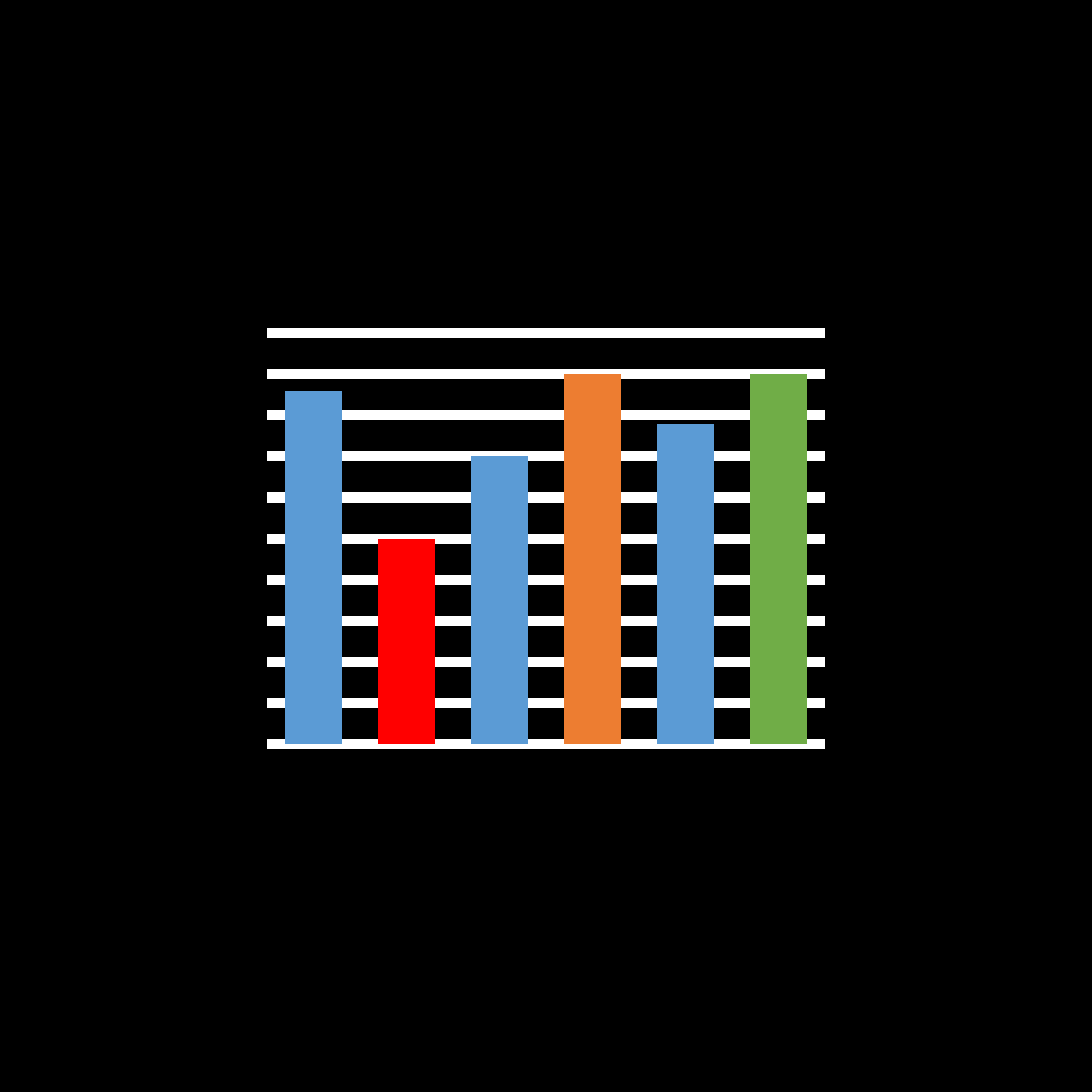
import pptx
import pptx.chart.data
import pptx.dml.color
import pptx.enum.chart
import pptx.oxml
import pptx.oxml.ns
import pptx.util
from dataclasses import dataclass

Pt = pptx.util.Pt


@dataclass(frozen=True)
class Theme:
    background: str = "000000"
    grid: str = "FFFFFF"
    text: str = "FFFFFF"
    bar: str = "5B9BD5"
    lowest: str = "FF0000"
    peak: str = "ED7D31"
    final: str = "70AD47"
    second: str = "ED7D31"
    third: str = "A5A5A5"
    font: str = "Calibri"
    text_size: float = 10
    grid_width: float = 5


theme = Theme()

# Content: category, value, bar colour
bars = [
    ("1", 8.6, theme.bar),
    ("2", 5, theme.lowest),
    ("3", 7, theme.bar),
    ("4", 9, theme.peak),
    ("5", 7.8, theme.bar),
    ("6", 9, theme.final),
]

# Content: series name, values, colour
series_rows = [
    ("Series 1", [value for _, value, _ in bars], theme.bar),
    ("Series 2", [None] * len(bars), theme.second),
    ("Series 3", [None] * len(bars), theme.third),
]

# Geometry, in points
SLIDE_SIDE = 540
CHART_BOX = (126.36, 160.56, 287.28, 211.68)
PLOT_MARGIN = 0.02  # share of the chart box left free on each side

# Value scale
SCALE_TOP = 10
GRID_UNIT = 1


def paint(fill, colour):
    fill.solid()
    fill.fore_color.rgb = pptx.dml.color.RGBColor.from_string(colour)


def place_plot(chart, margin):
    """Give the plot area an equal margin on all sides of the chart box."""
    plot_area = chart.element.find(".//" + pptx.oxml.ns.qn("c:plotArea"))
    for automatic in plot_area.findall(pptx.oxml.ns.qn("c:layout")):
        plot_area.remove(automatic)
    extent = 1 - 2 * margin
    plot_area.insert(0, pptx.oxml.parse_xml(
        f'<c:layout {pptx.oxml.ns.nsdecls("c")}><c:manualLayout>'
        '<c:layoutTarget val="inner"/><c:xMode val="edge"/><c:yMode val="edge"/>'
        f'<c:x val="{margin}"/><c:y val="{margin}"/>'
        f'<c:w val="{extent}"/><c:h val="{extent}"/>'
        '</c:manualLayout></c:layout>'))


def add_bar_chart(slide):
    scores = pptx.chart.data.CategoryChartData()
    scores.categories = [category for category, _, _ in bars]
    for name, values, _ in series_rows:
        scores.add_series(name, values)
    chart = slide.shapes.add_chart(
        pptx.enum.chart.XL_CHART_TYPE.COLUMN_CLUSTERED,
        *map(Pt, CHART_BOX), scores).chart
    chart.has_title = False
    chart.has_legend = False
    chart.font.name = theme.font
    chart.font.size = Pt(theme.text_size)
    chart.font.color.rgb = pptx.dml.color.RGBColor.from_string(theme.text)
    place_plot(chart, PLOT_MARGIN)

    # Hidden axes, heavy grid lines
    chart.category_axis.visible = False
    scale = chart.value_axis
    scale.visible = False
    scale.minimum_scale = 0
    scale.maximum_scale = SCALE_TOP
    scale.major_unit = GRID_UNIT
    scale.has_major_gridlines = True
    grid = scale.major_gridlines.format.line
    paint(grid.fill, theme.grid)
    grid.width = Pt(theme.grid_width)

    # Bars
    plot = chart.plots[0]
    plot.gap_width = 64
    plot.overlap = 100
    plot.vary_by_categories = False
    for series, (_, _, colour) in zip(plot.series, series_rows):
        series.invert_if_negative = False
        paint(series.format.fill, colour)
    for index, (_, _, colour) in enumerate(bars):
        if colour != theme.bar:
            paint(plot.series[0].points[index].format.fill, colour)


def main():
    deck = pptx.Presentation()
    deck.slide_width = deck.slide_height = Pt(SLIDE_SIDE)
    slide = deck.slides.add_slide(deck.slide_layouts[6])
    paint(slide.background.fill, theme.background)
    add_bar_chart(slide)
    deck.save("out.pptx")


if __name__ == "__main__":
    main()
